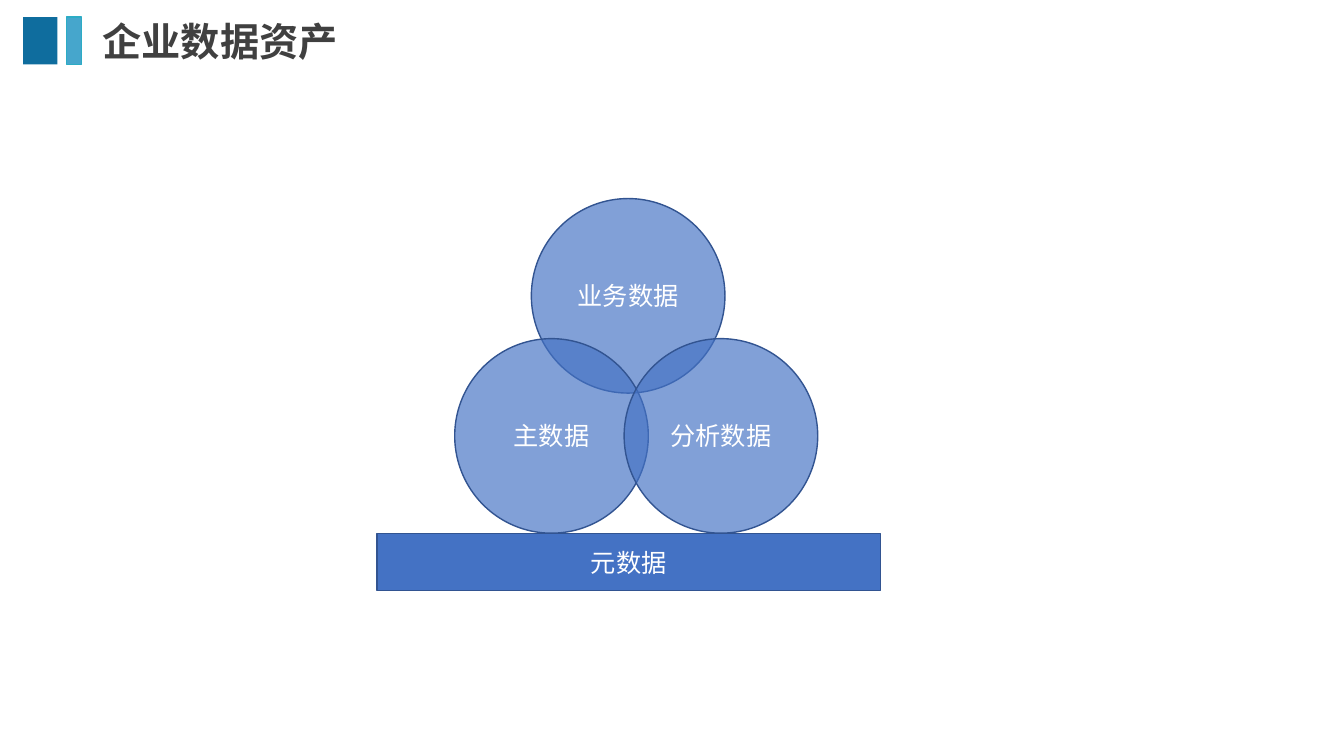
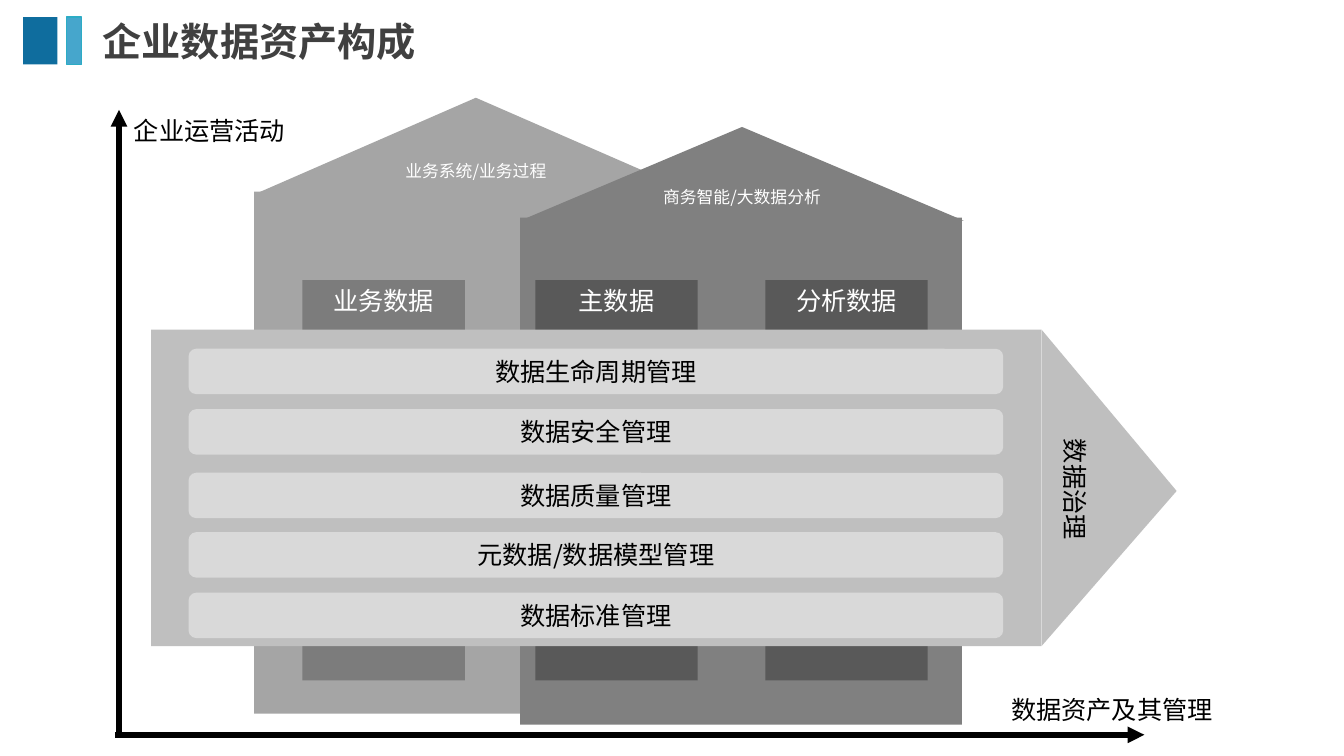
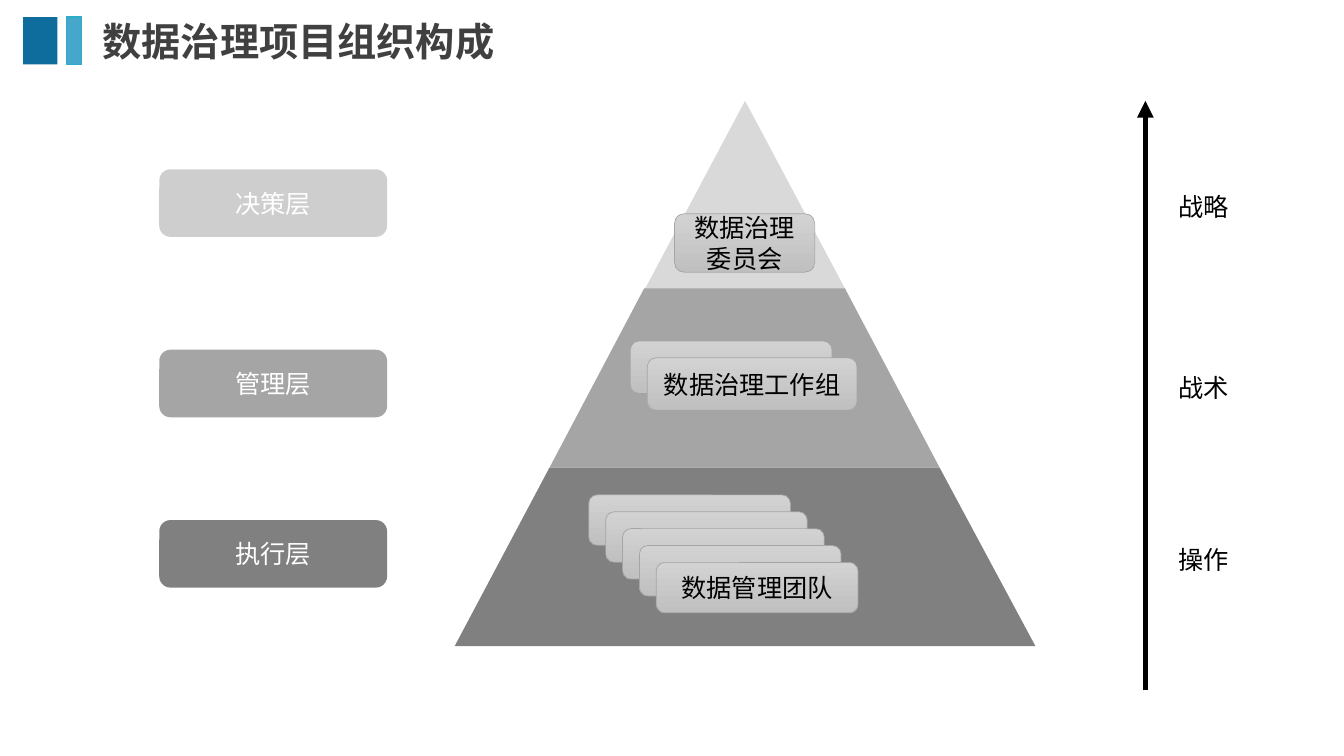
"""Build three slides on enterprise data assets and data governance."""
from dataclasses import dataclass

from lxml import etree
from pptx import Presentation
from pptx import util as u
from pptx.dml.color import RGBColor
from pptx.enum import shapes, text
from pptx.oxml.ns import qn

PX = 9144
SHAPE = shapes.MSO_SHAPE
ALIGN = text.PP_ALIGN
ANCHOR = text.MSO_ANCHOR


@dataclass(frozen=True)
class Theme:
    title_font: str = "Quicksand"
    body_font: str = "Noto Sans CJK SC"
    title_size: int = 28
    body_size: int = 18
    small_size: int = 12
    axis_width: int = 4
    white: str = "FFFFFF"
    black: str = "000000"
    title: str = "404040"
    band_dark: str = "0F6D9E"
    band_light: str = "46A6CC"
    band_edge: str = "2CACC5"
    blue: str = "4472C4"
    blue_edge: str = "325491"
    card_top: str = "D2D2D2"
    card_bottom: str = "C0C0C0"
    pale: str = "D9D9D9"
    light: str = "CECECE"
    silver: str = "BFBFBF"
    gray: str = "A5A5A5"
    steel: str = "7C7C7C"
    dark: str = "808080"
    charcoal: str = "595959"


THEME = Theme()

TITLES = ("企业数据资产", "企业数据资产构成", "数据治理项目组织构成")

CIRCLE_SIZE = (192, 193)
CIRCLES = [("业务数据", 527, 197), ("主数据", 451, 336), ("分析数据", 619, 336)]
METADATA = ("元数据", (374, 529, 499, 57))

HOUSES = [
    ("业务系统/业务过程", THEME.gray, (252, 190, 438, 518), 97),
    ("商务智能/大数据分析", THEME.dark, (516, 216, 438, 503), 126),
]
PILLARS = [
    ("业务数据", 300, THEME.steel),
    ("主数据", 531, THEME.charcoal),
    ("分析数据", 759, THEME.charcoal),
]
AXES = [((114, 729), (1135, 729)), ((118, 729), (118, 109))]
AXIS_LABELS = [("数据资产及其管理", (993, 684, 222, 40)), ("企业运营活动", (123, 109, 172, 40))]
GOVERNANCE = ("数据治理", (943, 417, 314, 134))
PRACTICES = [
    ("数据生命周期管理", 346),
    ("数据安全管理", 406),
    ("数据质量管理", 469),
    ("元数据/数据模型管理", 528),
    ("数据标准管理", 588),
]

PYRAMID = [
    (THEME.pale, [(739, 100), (839, 288), (639, 288)]),
    (THEME.gray, [(639, 286), (838, 286), (932, 464), (545, 464)]),
    (THEME.dark, [(545, 464), (932, 464), (1027, 641), (451, 641)]),
]
CARD_STEP = 16.75
CARD_STACKS = [
    ("数据管理团队", 5, (651, 558, 200, 50), 200),
    ("数据治理工作组", 2, (642, 355, 208, 52), 200),
    ("数据治理委员会", 1, (669, 212, 139, 58), 139),
]
LEVELS = [
    ("决策层", THEME.light, 168, "战略", 185),
    ("管理层", THEME.gray, 347, "战术", 364),
    ("执行层", THEME.dark, 516, "操作", 535),
]
LEVEL_ARROW = ((1136, 685), (1136, 100))


def emu(*lengths):
    return [u.Emu(round(length * PX)) for length in lengths]


def rgb(color):
    return RGBColor.from_string(color)


def write(shape, words, size=THEME.body_size, color=THEME.white, font=THEME.body_font,
          bold=False, align=ALIGN.CENTER, anchor=ANCHOR.MIDDLE, wrap=True, spacing=None):
    frame = shape.text_frame
    frame.word_wrap = wrap
    frame.vertical_anchor = anchor
    paragraph = frame.paragraphs[0]
    paragraph.alignment = align
    if spacing:
        paragraph.line_spacing = spacing
    run = paragraph.add_run()
    run.text = words
    run.font.size = u.Pt(size)
    run.font.bold = bold
    run.font.color.rgb = rgb(color)
    run.font.name = font
    east_asian = etree.SubElement(run.font._element, qn("a:ea"))
    east_asian.set("typeface", THEME.body_font)


def paint(shape, fill, edge=None, edge_width=1, alpha=None):
    shape.shadow.inherit = False
    if isinstance(fill, tuple):
        shape.fill.gradient()
        shape.fill.gradient_angle = 270
        for stop, color in zip(shape.fill.gradient_stops, fill):
            stop.color.rgb = rgb(color)
    else:
        shape.fill.solid()
        shape.fill.fore_color.rgb = rgb(fill)
    if alpha:
        color_element = shape._element.spPr.find(qn("a:solidFill"))[0]
        etree.SubElement(color_element, qn("a:alpha")).set("val", str(alpha * 1000))
    if edge:
        shape.line.color.rgb = rgb(edge)
        shape.line.width = u.Pt(edge_width)
    else:
        shape.line.fill.background()


def add_block(slide, kind, box, fill, words=None, edge=None, edge_width=1, alpha=None, **style):
    shape = slide.shapes.add_shape(kind, *emu(*box))
    paint(shape, fill, edge, edge_width, alpha)
    if words:
        write(shape, words, **style)
    return shape


def add_label(slide, words, box, **style):
    options = dict(color=THEME.black, align=ALIGN.LEFT, anchor=ANCHOR.TOP, wrap=False)
    write(slide.shapes.add_textbox(*emu(*box)), words, **(options | style))


def add_arrow(slide, start, end):
    arrow = slide.shapes.add_connector(shapes.MSO_CONNECTOR.STRAIGHT, *emu(*start, *end))
    arrow.line.color.rgb = rgb(THEME.black)
    arrow.line.width = u.Pt(THEME.axis_width)
    properties = arrow._element.spPr
    etree.SubElement(properties.find(qn("a:ln")), qn("a:tailEnd")).set("type", "triangle")
    etree.SubElement(properties, qn("a:effectLst"))


def add_page(presentation, title):
    slide = presentation.slides.add_slide(presentation.slide_layouts[6])
    add_block(slide, SHAPE.RECTANGLE, (23, 17, 34, 47), THEME.band_dark)
    add_block(slide, SHAPE.RECTANGLE, (66, 17, 15, 47), THEME.band_light, edge=THEME.band_edge)
    add_label(slide, title, (92, 17, 1112, 53), size=THEME.title_size, color=THEME.title,
              font=THEME.title_font, bold=True, anchor=ANCHOR.MIDDLE, wrap=True, spacing=0.9)
    return slide


def draw_assets(slide):
    for words, left, top in CIRCLES:
        add_block(slide, SHAPE.OVAL, (left, top, *CIRCLE_SIZE), THEME.blue, words,
                  edge=THEME.blue_edge, alpha=67)
    words, box = METADATA
    add_block(slide, SHAPE.RECTANGLE, box, THEME.blue, words, edge=THEME.blue_edge)


def draw_composition(slide):
    for words, fill, body, roof_top in HOUSES:
        left, top, width, _ = body
        add_block(slide, SHAPE.RECTANGLE, body, fill)
        roof = (left, roof_top, width + 2, top + 3 - roof_top)
        add_block(slide, SHAPE.ISOSCELES_TRIANGLE, roof, fill, words, size=THEME.small_size)
    for words, left, fill in PILLARS:
        add_block(slide, SHAPE.RECTANGLE, (left, 278, 161, 397), fill, words, anchor=ANCHOR.TOP)
    for start, end in AXES:
        add_arrow(slide, start, end)
    for words, box in AXIS_LABELS:
        add_label(slide, words, box)
    add_block(slide, SHAPE.RECTANGLE, (150, 327, 883, 314), THEME.silver)
    words, box = GOVERNANCE
    tip = add_block(slide, SHAPE.ISOSCELES_TRIANGLE, box, THEME.silver, words, color=THEME.black)
    tip.adjustments[0] = 0.51
    tip.rotation = 90
    for words, top in PRACTICES:
        add_block(slide, SHAPE.ROUNDED_RECTANGLE, (187, top, 808, 45), THEME.pale, words,
                  color=THEME.black)


def draw_organization(slide):
    for fill, points in PYRAMID:
        builder = slide.shapes.build_freeform(*points[0], scale=PX)
        builder.add_line_segments(points[1:], close=True)
        paint(builder.convert_to_shape(), fill)
    for words, count, (left, top, width, height), back_width in CARD_STACKS:
        for depth in reversed(range(count)):
            shift = depth * CARD_STEP
            box = (left - shift, top - shift, back_width if depth else width, height)
            add_block(slide, SHAPE.ROUNDED_RECTANGLE, box, (THEME.card_top, THEME.card_bottom),
                      None if depth else words, edge=THEME.gray, edge_width=0.5,
                      color=THEME.black)
    for level, fill, top, scope, scope_top in LEVELS:
        add_block(slide, SHAPE.ROUNDED_RECTANGLE, (158, top, 226, 67), fill, level)
        add_label(slide, scope, (1159, scope_top, 71, 40))
    add_arrow(slide, *LEVEL_ARROW)


def main():
    presentation = Presentation()
    presentation.slide_width, presentation.slide_height = emu(1333, 750)
    for title, draw in zip(TITLES, (draw_assets, draw_composition, draw_organization)):
        draw(add_page(presentation, title))
    presentation.save("out.pptx")


if __name__ == "__main__":
    main()
